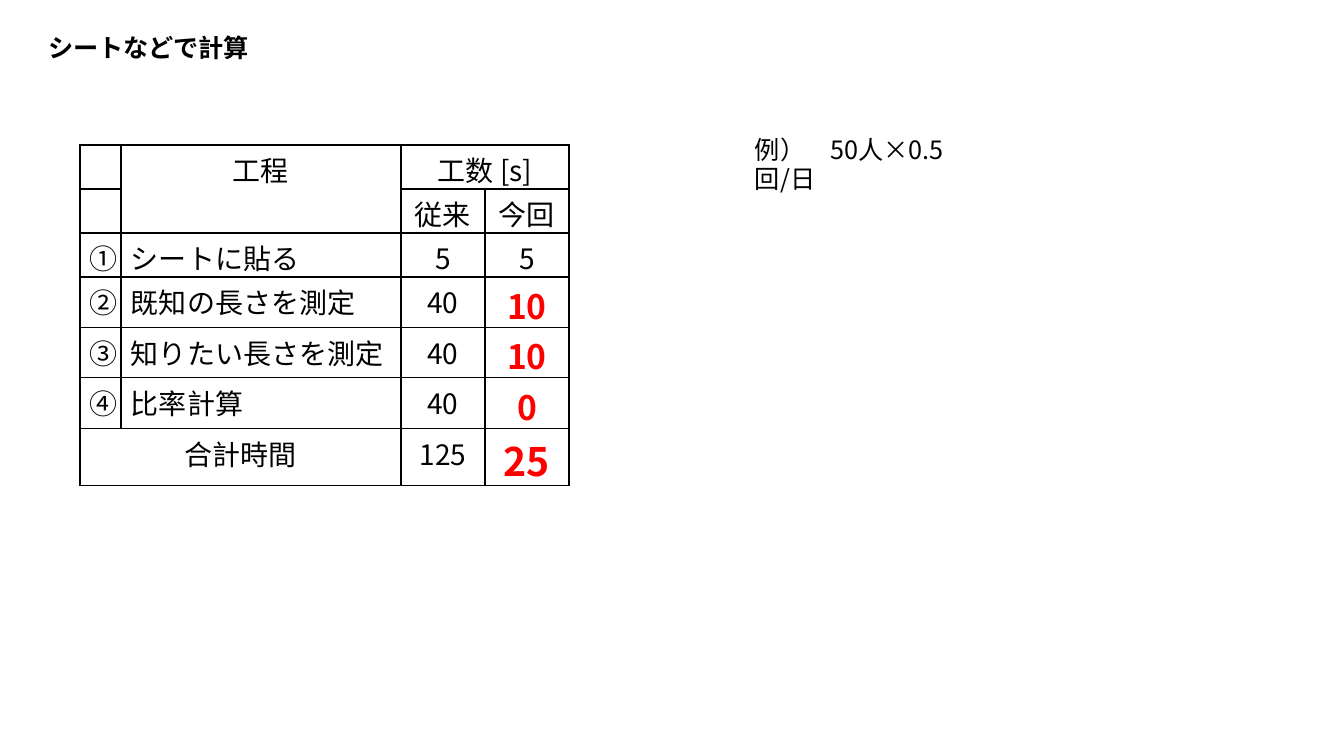
from lxml import etree
from pptx import Presentation
from pptx.dml.color import RGBColor
from pptx.enum.text import MSO_ANCHOR, MSO_AUTO_SIZE, PP_ALIGN
from pptx.oxml.ns import qn
from pptx.util import Pt

PX = 914400 / 100.8
FONT = "Noto Sans CJK JP"
TEXT_LINE, CELL_LINE = 0.95, 0.83
LEFT, MID = PP_ALIGN.LEFT, PP_ALIGN.CENTER
TOP, FIXED = MSO_ANCHOR.TOP, MSO_AUTO_SIZE.NONE
TITLE_ONLY = 5
COLORS = {"ink": "000000", "gain": "FF0000"}
PLAIN = {"size": Pt(20), "bold": False}
GAIN = {"size": Pt(24), "bold": True}
TOTAL = {"size": Pt(28), "bold": True}

COLS = [41, 280, 84, 84]
ROWS = [44, 44, 44, 50, 50, 51, 57]
STEPS = [
    ["", "工程", "工数 [s]", ""],
    ["", "", "従来", "今回"],
    ["①", "シートに貼る", "5", "5"],
    ["②", "既知の長さを測定", "40", "10"],
    ["③", "知りたい長さを測定", "40", "10"],
    ["④", "比率計算", "40", "0"],
    ["合計時間", "", "125", "25"],
]
MERGES = [((0, 1), (1, 1)), ((0, 2), (0, 3)), ((6, 0), (6, 1))]


def px(n):
    return round(n * PX)


def assign(item, values):
    for key, value in values.items():
        setattr(item, key, value)


def write(frame, text, pitch, style, color="ink", align=LEFT):
    para = frame.paragraphs[0]
    assign(para, {"alignment": align, "line_spacing": pitch})
    if not text:
        # Keep empty cells from stretching their row
        etree.SubElement(para._p, qn("a:endParaRPr"), sz="1000")
        return
    run = para.add_run()
    run.text = text
    assign(run.font, {"name": FONT, **style})
    run.font.color.rgb = RGBColor.from_string(COLORS[color])
    etree.SubElement(run._r.get_or_add_rPr(), qn("a:ea"), typeface=FONT)


def place(shape, box, text, bold, inset):
    assign(shape, dict(zip(("left", "top", "width", "height"), map(px, box))))
    assign(shape.text_frame, {
        "word_wrap": True, "auto_size": FIXED, "vertical_anchor": TOP,
        "margin_left": px(10), "margin_right": px(inset),
        "margin_top": px(6), "margin_bottom": 0})
    write(shape.text_frame, text, TEXT_LINE, {"size": Pt(18), "bold": bold})


def edge(cell):
    props = cell._tc.get_or_add_tcPr()
    for i, side in enumerate(("lnL", "lnR", "lnT", "lnB")):
        line = etree.Element(qn("a:" + side), w=str(Pt(1)))
        fill = etree.SubElement(line, qn("a:solidFill"))
        etree.SubElement(fill, qn("a:srgbClr"), val=COLORS["ink"])
        props.insert(i, line)


def look(row, col):
    """Style, colour and alignment of one cell."""
    align = LEFT if col == 1 and 2 <= row < 6 else MID
    if col == 3 and row > 2:
        return (TOTAL if row == 6 else GAIN), "gain", align
    return PLAIN, "ink", align


def add_grid(slide, left, top):
    frame = slide.shapes.add_table(
        len(ROWS), len(COLS), px(left), px(top), px(sum(COLS)), px(sum(ROWS)))
    table = frame.table
    assign(table, {"first_row": False, "horz_banding": False})
    for col, width in zip(table.columns, COLS):
        col.width = px(width)
    for row, height in zip(table.rows, ROWS):
        row.height = px(height)
    for r, texts in enumerate(STEPS):
        for c, text in enumerate(texts):
            cell = table.cell(r, c)
            assign(cell, {
                "margin_left": px(10), "margin_right": px(10),
                "margin_top": px(10), "margin_bottom": 0,
                "vertical_anchor": TOP})
            cell.fill.background()
            edge(cell)
            write(cell.text_frame, text, CELL_LINE, *look(r, c))
    for start, end in MERGES:
        table.cell(*start).merge(table.cell(*end))


def main():
    deck = Presentation()
    assign(deck, {"slide_width": px(1344), "slide_height": px(756)})
    slide = deck.slides.add_slide(deck.slide_layouts[TITLE_ONLY])

    # Title
    place(slide.shapes.title, (38, 29, 224, 40), "シートなどで計算", True, 10)

    # Work times per step
    add_grid(slide, 80, 145)

    # Example
    note = slide.shapes.add_textbox(0, 0, 0, 0)
    place(note, (745, 131, 274, 40), "例）\u300050人×0.5回/日", False, 40)

    deck.save("out.pptx")


main()
